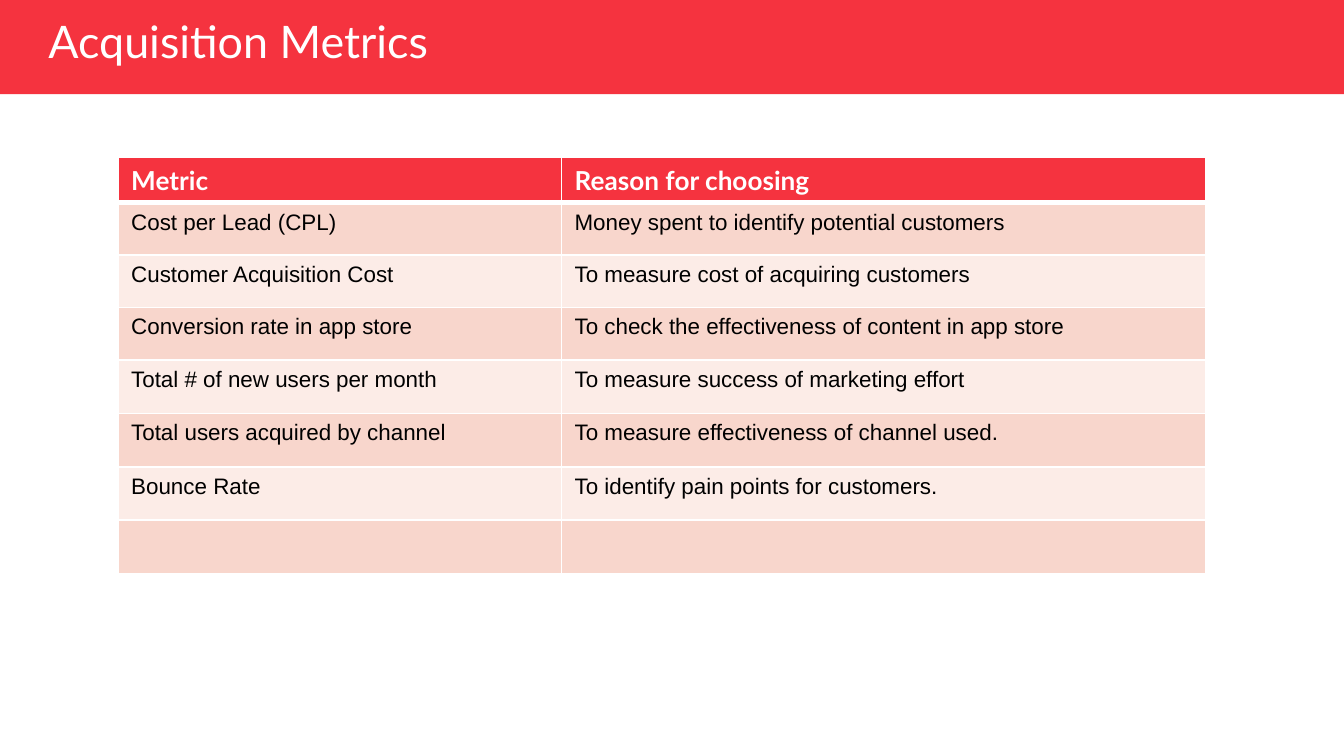
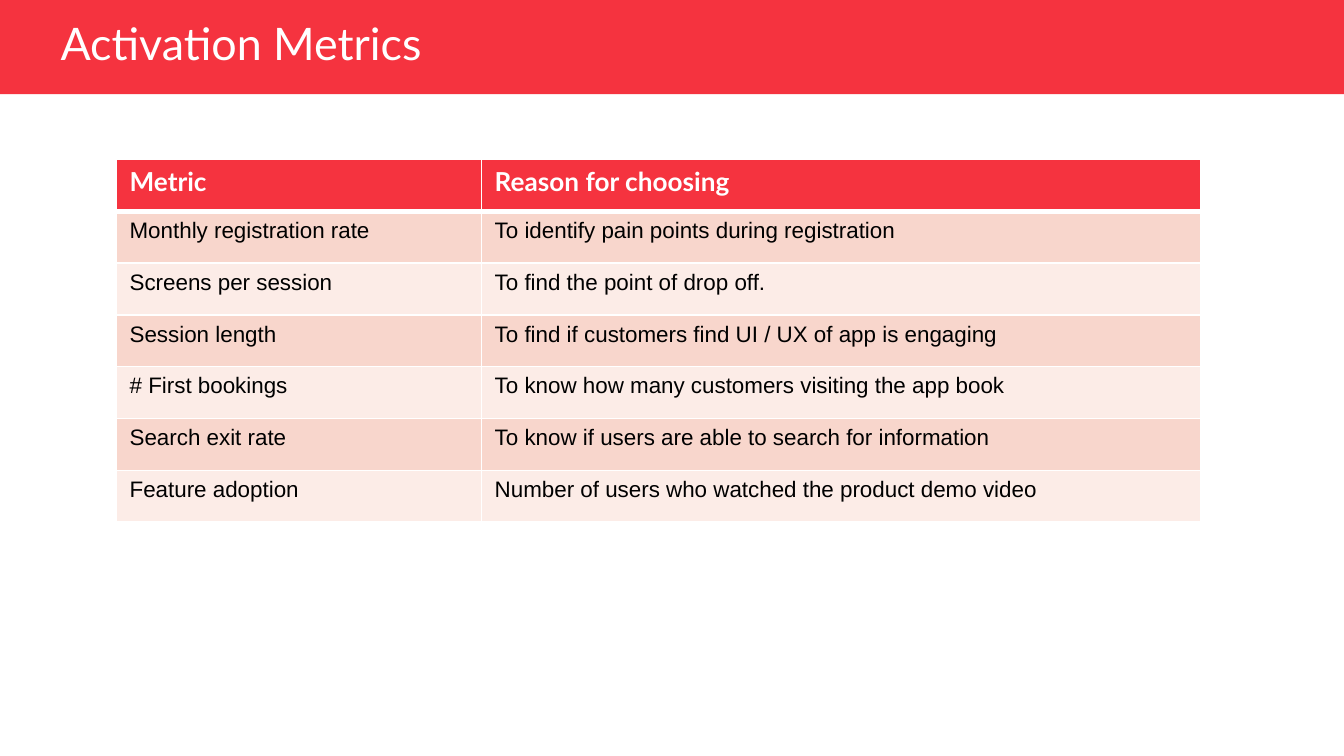
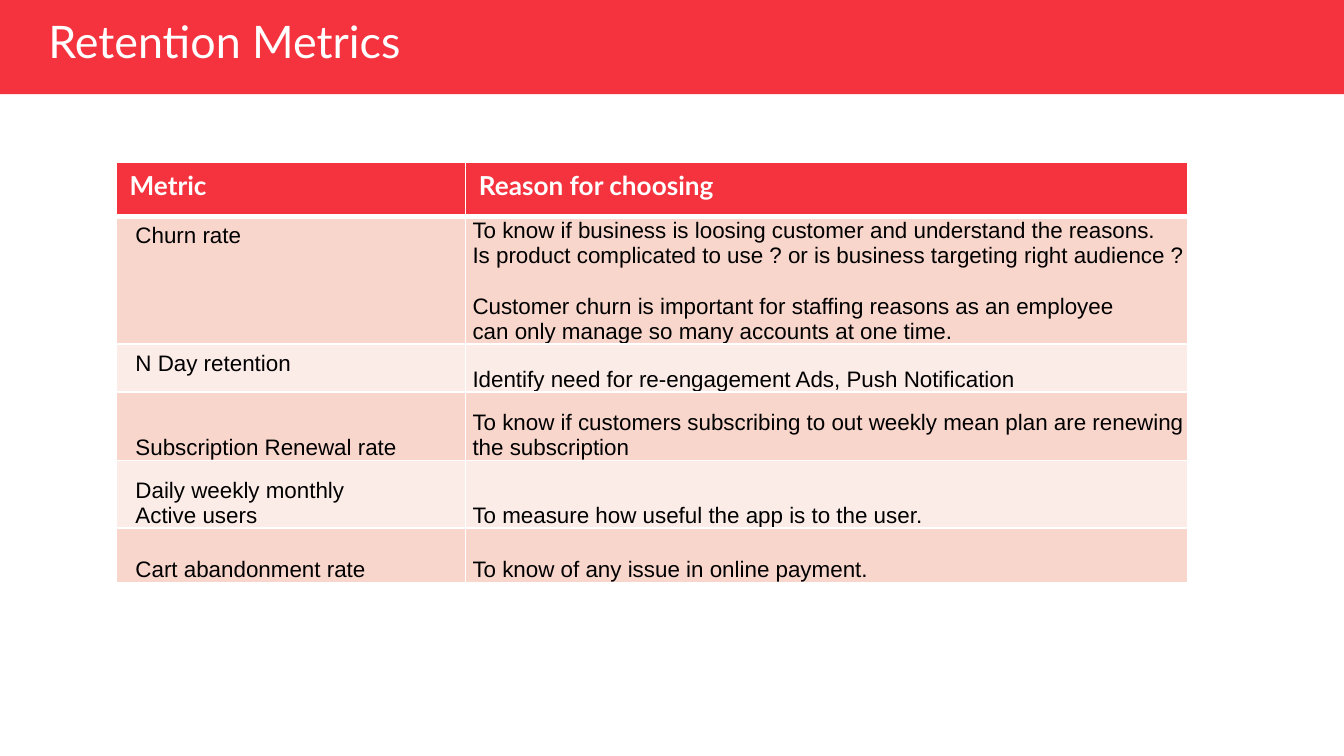
from dataclasses import dataclass
from typing import NamedTuple

import lxml.etree
import pptx
import pptx.dml.color
import pptx.enum.shapes
import pptx.enum.text
import pptx.oxml.ns
import pptx.presentation
import pptx.slide
import pptx.table
import pptx.util

Cm = pptx.util.Cm
Pt = pptx.util.Pt
RGBColor = pptx.dml.color.RGBColor
Anchor = pptx.enum.text.MSO_ANCHOR

# Shared look
RED = RGBColor(0xF5, 0x33, 0x3F)
WHITE = RGBColor(0xFF, 0xFF, 0xFF)
BLACK = RGBColor(0x00, 0x00, 0x00)
ROW_FILLS = (RGBColor(0xF8, 0xD6, 0xCC), RGBColor(0xFC, 0xEC, 0xE7))
HEADINGS = ("Metric", "Reason for choosing")
SLIDE_WIDTH, SLIDE_HEIGHT = Cm(25.4), Cm(14.29)
BAND_HEIGHT = Cm(1.78)
TITLE_WIDTH, TITLE_HEIGHT = Cm(10.39), Cm(1.07)
TITLE_ONLY = 5
BLOCK_GAP = Pt(13.8)


class CellLayout(NamedTuple):
    anchor: Anchor
    left: float
    top: float
    right: float
    bottom: float


class TextStyle(NamedTuple):
    font: str
    size: float
    color: RGBColor
    bold: bool


NORMAL = CellLayout(Anchor.TOP, 0.25, 0.13, 0.25, 0.13)
INDENTED = NORMAL._replace(left=0.36)
LOW_METRIC = CellLayout(Anchor.BOTTOM, 0.36, 0.03, 0.03, 0)
LOW_REASON = LOW_METRIC._replace(left=0.13)

TITLE_STYLE = TextStyle("Lato", 24, WHITE, False)
HEADING_STYLE = TextStyle("Lato", 14, WHITE, True)
BODY_STYLE = TextStyle("Arial", 12, BLACK, False)


@dataclass
class MetricRow:
    height: float
    metric: str = ""
    reason: str = ""
    metric_layout: CellLayout = NORMAL
    reason_layout: CellLayout = NORMAL


@dataclass
class MetricPage:
    title: str
    title_at: tuple[float, float]
    table_at: tuple[float, float]
    columns: tuple[float, float]
    heading_height: float
    rows: list[MetricRow]


PAGES = [
    MetricPage("Acquisition Metrics", (0.66, 0.3), (2.23, 2.98), (8.38, 12.17), 0.84, [
        MetricRow(0.99, "Cost per Lead (CPL)", "Money spent to identify potential customers"),
        MetricRow(0.99, "Customer Acquisition Cost", "To measure cost of acquiring customers"),
        MetricRow(0.99, "Conversion rate in app store",
                  "To check the effectiveness of content in app store"),
        MetricRow(1.01, "Total # of new users per month", "To measure success of marketing effort"),
        MetricRow(1.01, "Total users acquired by channel",
                  "To measure effectiveness of channel used."),
        MetricRow(1.01, "Bounce Rate", "To identify pain points for customers."),
        MetricRow(1.01),
    ]),
    MetricPage("Activation Metrics", (0.89, 0.33), (2.2, 3.01), (6.9, 13.6), 0.98, [
        MetricRow(0.98, "Monthly registration rate", "To identify pain points during registration"),
        MetricRow(0.98, "Screens per session", "To find the point of drop off."),
        MetricRow(0.98, "Session length", "To find if customers find UI / UX of app is engaging"),
        MetricRow(0.98, "# First bookings", "To know how many customers visiting the app book"),
        MetricRow(0.98, "Search exit rate", "To know if users are able to search for information"),
        MetricRow(0.98, "Feature adoption", "Number of users who watched the product demo video"),
    ]),
    MetricPage("Retention Metrics", (0.66, 0.3), (2.2, 3.07), (6.6, 13.64), 1.02, [
        MetricRow(2.4, "Churn rate",
                  "To know if business is loosing customer and understand the reasons.\n"
                  "Is product complicated to use ? or is business targeting right audience ?\n\n"
                  "Customer churn is important for staffing reasons as an employee\n"
                  "can only manage so many accounts at one time.",
                  INDENTED, LOW_REASON),
        MetricRow(0.91, "N Day retention", "Identify need for re-engagement Ads, Push Notification",
                  INDENTED, LOW_REASON),
        MetricRow(1.29, "Subscription Renewal rate",
                  "To know if customers subscribing to out weekly mean plan are renewing\n"
                  "the subscription",
                  LOW_METRIC, LOW_REASON),
        MetricRow(1.28, "Daily weekly monthly\nActive users",
                  "To measure how useful the app is to the user.", LOW_METRIC, LOW_REASON),
        MetricRow(1.03, "Cart abandonment rate", "To know of any issue in online payment.",
                  LOW_METRIC, LOW_REASON),
    ]),
]


def write_text(frame, text: str, style: TextStyle) -> None:
    """Write one paragraph per line; an empty line opens a spaced block."""
    para = frame.paragraphs[0]
    for block_number, block in enumerate(text.split("\n\n")):
        for line_number, line in enumerate(block.split("\n")):
            if block_number or line_number:
                para = frame.add_paragraph()
            if block_number and not line_number:
                para.space_before = BLOCK_GAP
            para.text = line
            para.alignment = pptx.enum.text.PP_ALIGN.LEFT
            para.font.name = style.font
            para.font.size = Pt(style.size)
            para.font.color.rgb = style.color
            para.font.bold = style.bold


def set_borders(cell: pptx.table._Cell, bottom: float) -> None:
    properties = cell._tc.get_or_add_tcPr()
    qn = pptx.oxml.ns.qn
    widths = {"a:lnL": 1, "a:lnR": 1, "a:lnT": 1, "a:lnB": bottom}
    for position, (tag, width) in enumerate(widths.items()):
        line = lxml.etree.Element(qn(tag), w=str(Pt(width)))
        fill = lxml.etree.SubElement(line, qn("a:solidFill"))
        lxml.etree.SubElement(fill, qn("a:srgbClr"), val=str(WHITE))
        properties.insert(position, line)


def fill_cell(cell: pptx.table._Cell, text: str, style: TextStyle, layout: CellLayout,
              color: RGBColor, bottom: float = 1) -> None:
    cell.fill.solid()
    cell.fill.fore_color.rgb = color
    cell.vertical_anchor = layout.anchor
    cell.margin_left, cell.margin_right = Cm(layout.left), Cm(layout.right)
    cell.margin_top, cell.margin_bottom = Cm(layout.top), Cm(layout.bottom)
    write_text(cell.text_frame, text, style)
    set_borders(cell, bottom)


def add_band(page: pptx.slide.Slide) -> None:
    """Draw the title band and hand it to the layout that all pages share."""
    band = page.shapes.add_shape(pptx.enum.shapes.MSO_SHAPE.RECTANGLE,
                                 0, 0, SLIDE_WIDTH, BAND_HEIGHT)
    band.shadow.inherit = False
    band.fill.solid()
    band.fill.fore_color.rgb = RED
    band.line.fill.background()
    page.slide_layout.shapes.element.insert(2, band.element)


def add_title(page: pptx.slide.Slide, content: MetricPage) -> None:
    title = page.shapes.title
    title.left, title.top = (Cm(length) for length in content.title_at)
    title.width, title.height = TITLE_WIDTH, TITLE_HEIGHT
    frame = title.text_frame
    frame.auto_size = pptx.enum.text.MSO_AUTO_SIZE.NONE
    frame.vertical_anchor = Anchor.MIDDLE
    write_text(frame, content.title, TITLE_STYLE)
    frame.paragraphs[0].line_spacing = 0.9


def add_metric_table(page: pptx.slide.Slide, content: MetricPage) -> None:
    heights = [content.heading_height] + [row.height for row in content.rows]
    left, top = content.table_at
    table = page.shapes.add_table(len(heights), len(content.columns), Cm(left), Cm(top),
                                  Cm(sum(content.columns)), Cm(sum(heights))).table
    for column, width in zip(table.columns, content.columns):
        column.width = Cm(width)
    for table_row, height in zip(table.rows, heights):
        table_row.height = Cm(height)

    for column, heading in enumerate(HEADINGS):
        fill_cell(table.cell(0, column), heading, HEADING_STYLE, NORMAL, RED, bottom=3)
    for number, row in enumerate(content.rows):
        color = ROW_FILLS[number % 2]
        fill_cell(table.cell(number + 1, 0), row.metric, BODY_STYLE, row.metric_layout, color)
        fill_cell(table.cell(number + 1, 1), row.reason, BODY_STYLE, row.reason_layout, color)


def main() -> None:
    deck = pptx.Presentation()
    deck.slide_width, deck.slide_height = SLIDE_WIDTH, SLIDE_HEIGHT
    layout = deck.slide_layouts[TITLE_ONLY]
    for number, content in enumerate(PAGES):
        page = deck.slides.add_slide(layout)
        if number == 0:
            add_band(page)
        add_title(page, content)
        add_metric_table(page, content)
    deck.save("out.pptx")


if __name__ == "__main__":
    main()
